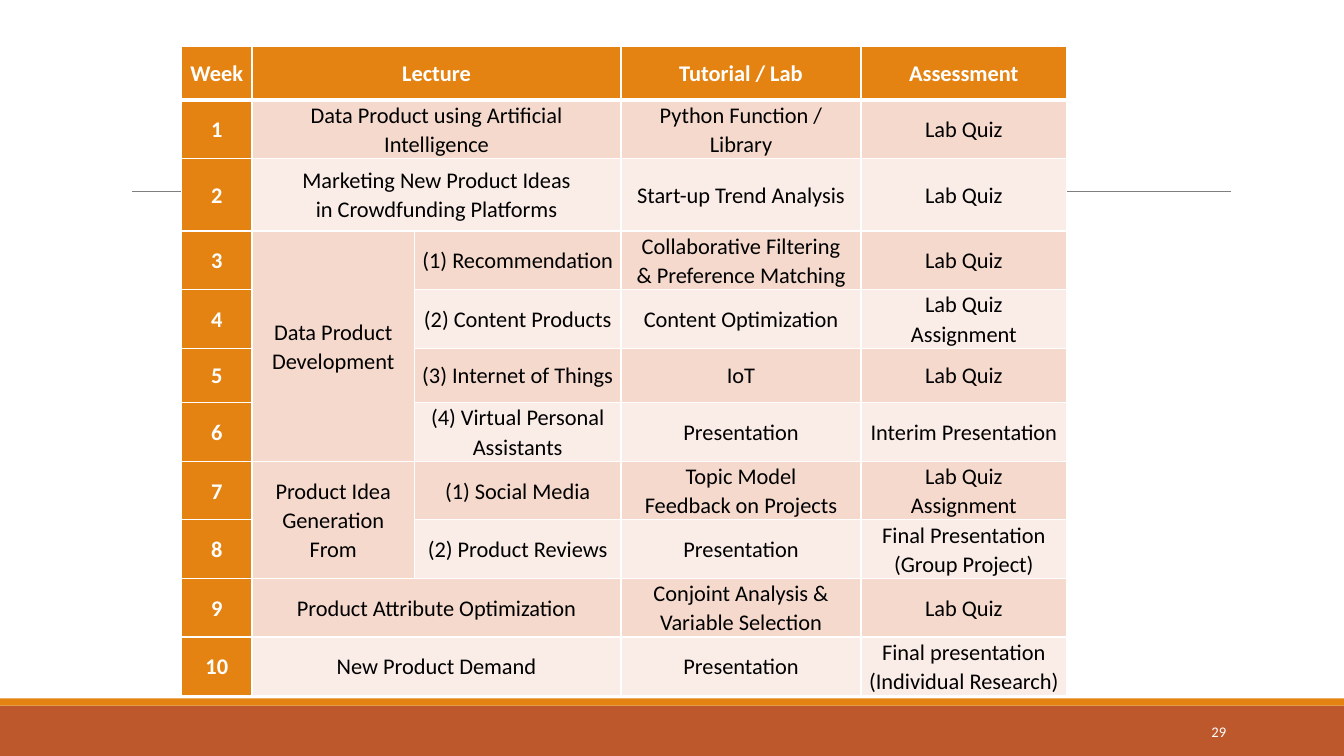
from copy import deepcopy
from dataclasses import dataclass

from lxml import etree
from pptx import Presentation
from pptx import util as u
from pptx.dml.color import RGBColor
from pptx.enum import shapes, text
from pptx.oxml.ns import qn

COLORS = {
    "white": "FFFFFF",
    "black": "000000",
    "orange": "E48312",
    "rust": "BD582C",
    "gray": "808080",
    "band_dark": "F5D9CC",
    "band_light": "FAEDE7",
}
COL_WIDTHS = [0.7, 1.61, 2.05, 2.38, 2.04]
ROW_HEIGHTS = [0.53, 0.54, 0.72] + [0.54] * 8


@dataclass
class Bar:
    top: float
    height: float
    color: str


@dataclass
class Week:
    lecture: str
    topic: str
    lab: str
    assessment: str
    rows: int = 1


BARS = [Bar(7, 0.5, "rust"), Bar(6.93, 0.07, "orange")]
HEADER = Week("Lecture", "", "Tutorial / Lab", "Assessment")
WEEKS = [
    Week("Data Product using Artificial Intelligence", "",
         "Python Function / Library", "Lab Quiz"),
    Week("Marketing New Product Ideas\nin Crowdfunding Platforms", "",
         "Start-up Trend Analysis", "Lab Quiz"),
    Week("Data Product Development", "(1) Recommendation",
         "Collaborative Filtering\n& Preference Matching", "Lab Quiz", rows=4),
    Week("", "(2) Content Products", "Content Optimization", "Lab Quiz\nAssignment"),
    Week("", "(3) Internet of Things", "IoT", "Lab Quiz"),
    Week("", "(4) Virtual Personal Assistants", "Presentation", "Interim Presentation"),
    Week("Product Idea Generation From", "(1) Social Media",
         "Topic Model\nFeedback on Projects", "Lab Quiz\nAssignment", rows=2),
    Week("", "(2) Product Reviews", "Presentation", "Final Presentation\n(Group Project)"),
    Week("Product Attribute Optimization", "",
         "Conjoint Analysis & Variable Selection", "Lab Quiz"),
    Week("New Product Demand", "", "Presentation",
         "Final presentation (Individual Research)"),
]


def rgb(name: str) -> RGBColor:
    return RGBColor.from_string(COLORS[name])


def apply(target, values: dict) -> None:
    for name, value in values.items():
        setattr(target, name, value)


def format_runs(p, size: float, color: str, bold: bool) -> None:
    for r in p.runs:
        apply(r.font, {"name": "Calibri", "size": u.Pt(size), "bold": bold})
        r.font.color.rgb = rgb(color)
    for br in p._p.findall(qn("a:br")):
        br.append(deepcopy(p.runs[0]._r.find(qn("a:rPr"))))


def add_bar(s, bar: Bar) -> None:
    sp = s.shapes.add_shape(shapes.MSO_SHAPE.RECTANGLE, 0, u.Inches(bar.top),
                            u.Inches(13.33), u.Inches(bar.height))
    sp.shadow.inherit = False
    sp.fill.solid()
    sp.fill.fore_color.rgb = rgb(bar.color)
    sp.line.fill.background()


def add_rule(s) -> None:
    rule = s.shapes.add_connector(shapes.MSO_CONNECTOR.STRAIGHT, u.Inches(1.31),
                                  u.Inches(1.9), u.Inches(12.21), u.Inches(1.9))
    rule.line.color.rgb = rgb("gray")
    rule.line.width = u.Pt(0.5)
    etree.SubElement(rule._element.spPr, qn("a:effectLst"))


def set_borders(cell, widths: dict[str, float]) -> None:
    tc_pr = cell._tc.get_or_add_tcPr()
    for i, (side, width) in enumerate(widths.items()):
        ln = etree.Element(qn(f"a:ln{side}"), w=str(u.Pt(width)))
        fill = etree.SubElement(ln, qn("a:solidFill"))
        etree.SubElement(fill, qn("a:srgbClr"), val=COLORS["white"])
        tc_pr.insert(i, ln)


def fill_cell(cell, words: str, row: int, col: int) -> None:
    strong = row == 0 or col == 0
    band = "band_dark" if row % 2 else "band_light"
    cell.fill.solid()
    cell.fill.fore_color.rgb = rgb("orange" if strong else band)
    set_borders(cell, {"L": 1, "R": 1, "T": 3 if row == 1 else 1,
                       "B": 3 if row == 0 else 1})
    apply(cell, {"margin_left": u.Inches(0.07), "margin_right": u.Inches(0.07),
                 "margin_top": 0, "margin_bottom": 0,
                 "vertical_anchor": text.MSO_ANCHOR.MIDDLE})
    p = cell.text_frame.paragraphs[0]
    apply(p, {"text": words, "alignment": text.PP_ALIGN.CENTER, "line_spacing": 1.07})
    format_runs(p, 16, "white" if strong else "black", strong)


def add_schedule(s) -> None:
    table = s.shapes.add_table(len(ROW_HEIGHTS), len(COL_WIDTHS), u.Inches(1.8),
                               u.Inches(0.46), u.Inches(sum(COL_WIDTHS)),
                               u.Inches(sum(ROW_HEIGHTS))).table
    table.horz_banding = False
    for column, width in zip(table.columns, COL_WIDTHS):
        column.width = u.Inches(width)
    for table_row, height in zip(table.rows, ROW_HEIGHTS):
        table_row.height = u.Inches(height)
    for row, week in enumerate([HEADER] + WEEKS):
        label = str(row) if row else "Week"
        entries = [label, week.lecture, week.topic, week.lab, week.assessment]
        for col, words in enumerate(entries):
            fill_cell(table.cell(row, col), words, row, col)
        if not week.topic:
            table.cell(row, 1).merge(table.cell(row, 2))
        elif week.rows > 1:
            table.cell(row, 1).merge(table.cell(row + week.rows - 1, 1))


def add_page_number(s) -> None:
    sp = s.shapes.add_textbox(u.Inches(10.83), u.Inches(7.06),
                              u.Inches(1.43), u.Inches(0.4))
    tf = sp.text_frame
    apply(tf, {"word_wrap": True, "vertical_anchor": text.MSO_ANCHOR.MIDDLE})
    p = tf.paragraphs[0]
    apply(p, {"text": "29", "alignment": text.PP_ALIGN.RIGHT})
    format_runs(p, 10.5, "white", False)


def main() -> None:
    prs = Presentation()
    apply(prs, {"slide_width": u.Inches(13.33), "slide_height": u.Inches(7.5)})
    s = prs.slides.add_slide(prs.slide_layouts[6])
    for bar in BARS:
        add_bar(s, bar)
    add_rule(s)
    add_schedule(s)
    add_page_number(s)
    prs.save("out.pptx")


if __name__ == "__main__":
    main()
